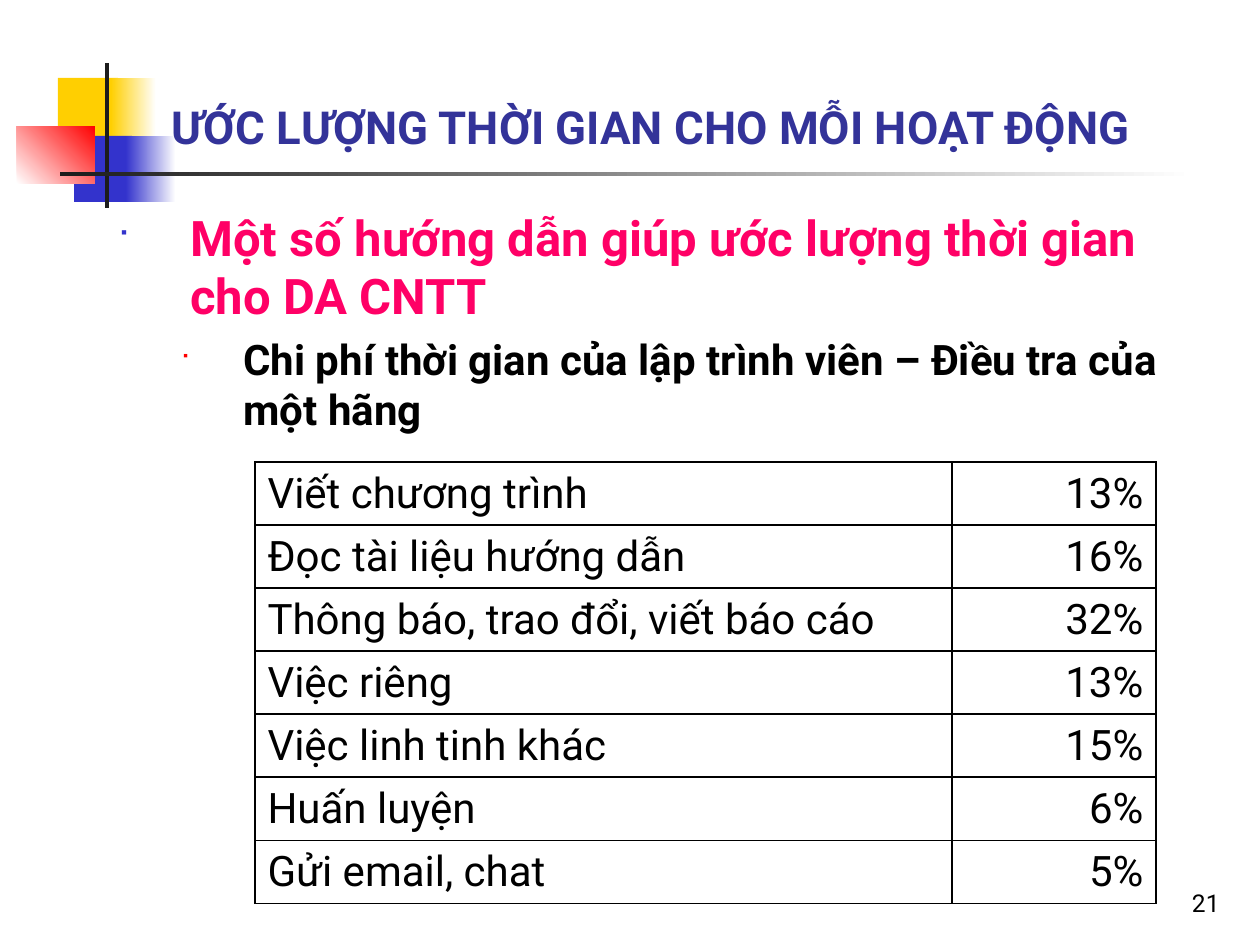
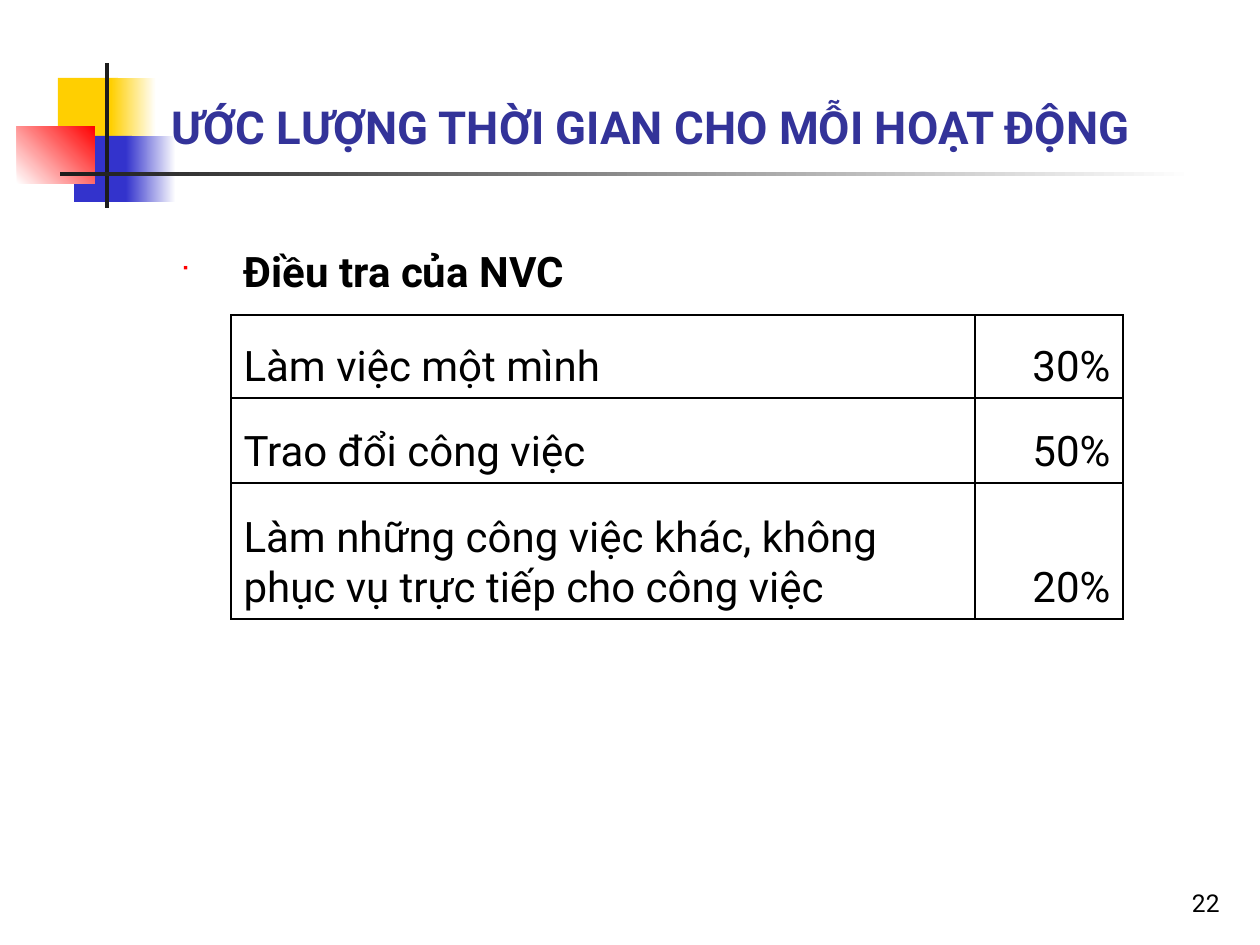
import lxml.etree
import pptx
import pptx.dml.color
import pptx.enum.shapes
import pptx.enum.text
import pptx.oxml.ns
import pptx.util

SCALE = 914400 / 126
FONT = "Roboto"
BLACK, WHITE = "000000", "FFFFFF"
NAVY, PINK, RED = "333399", "FF0066", "FF0000"
GOLD, BLUE, DARK = "FFCF01", "3333CC", "1C1C1C"
TITLE = "ƯỚC LƯỢNG THỜI GIAN CHO MỖI HOẠT ĐỘNG"
RIGHT = pptx.enum.text.PP_ALIGN.RIGHT
LEFT = pptx.enum.text.PP_ALIGN.LEFT
BOTTOM = pptx.enum.text.MSO_ANCHOR.BOTTOM

# Box, then one colour for a plain fill or two for a fade, then angle
MOTIF = [
    ((58, 78, 60, 66), [GOLD], 0),
    ((111, 78, 45, 66), [GOLD, WHITE], 0),
    ((74, 136, 58, 66), [BLUE], 0),
    ((126, 136, 50, 66), [BLUE, WHITE], 0),
    ((17, 126, 78, 58), [WHITE, RED], 45),
    ((105, 63, 4, 145), [DARK], 0),
    ((60, 172, 1134, 4), [DARK, WHITE], 0),
]

# Text colour, size, left margin, hang, bullet colour, bullet percent
LEVELS = [
    (PINK, 28, 73, 73, BLUE, 60),
    (BLACK, 24, 126, 63, RED, 55),
]

CODER_TIME = [
    ("Viết chương trình", "13%"),
    ("Đọc tài liệu hướng dẫn", "16%"),
    ("Thông báo, trao đổi, viết báo cáo", "32%"),
    ("Việc riêng", "13%"),
    ("Việc linh tinh khác", "15%"),
    ("Huấn luyện", "6%"),
    ("Gửi email, chat", "5%"),
]
WORK_TIME = [
    ("Làm việc một mình", "30%"),
    ("Trao đổi công việc", "50%"),
    ("Làm những công việc khác, không phục vụ trực tiếp cho công việc", "20%"),
]


def px(size):
    return pptx.util.Emu(round(size * SCALE))


def color(code):
    return pptx.dml.color.RGBColor.from_string(code)


def node(parent, tag, **attrs):
    name = pptx.oxml.ns.qn("a:" + tag)
    return lxml.etree.SubElement(parent, name, attrs)


def add_run(para, text, size, shade, bold=False):
    run = para.add_run()
    run.text = text
    font = run.font
    font.name, font.size, font.bold = FONT, pptx.util.Pt(size), bold
    font.color.rgb = color(shade)


def add_frame(slide, box):
    frame = slide.shapes.add_textbox(*map(px, box)).text_frame
    frame.word_wrap = True
    return frame


def add_line(slide, box, text, size, shade, align, bold=False):
    """Add one line of text that sits on the floor of its box."""
    frame = add_frame(slide, box)
    frame.vertical_anchor = BOTTOM
    para = frame.paragraphs[0]
    para.alignment = align
    add_run(para, text, size, shade, bold)


def add_motif(slide):
    kind = pptx.enum.shapes.MSO_SHAPE.RECTANGLE
    for box, shades, angle in MOTIF:
        shape = slide.shapes.add_shape(kind, *map(px, box))
        shape.shadow.inherit = False
        shape.line.fill.background()
        if len(shades) == 1:
            shape.fill.solid()
            shape.fill.fore_color.rgb = color(shades[0])
            continue
        shape.fill.gradient()
        shape.fill.gradient_angle = angle
        for stop, shade, place in zip(shape.fill.gradient_stops, shades, (0, 1)):
            stop.color.rgb = color(shade)
            stop.position = place


def add_bullet(para, margin, hang, shade, percent):
    props = para._p.get_or_add_pPr()
    props.set("marL", str(px(margin)))
    props.set("indent", str(-px(hang)))
    node(node(props, "buClr"), "srgbClr", val=shade)
    node(props, "buSzPct", val=str(percent * 1000))
    node(props, "buFont", typeface="Wingdings")
    node(props, "buChar", char="■")


def add_body(slide, box, items):
    frame = add_frame(slide, box)
    frame.margin_top = frame.margin_bottom = 0
    for index, (level, text) in enumerate(items):
        shade, size, margin, hang, mark, percent = LEVELS[level]
        para = frame.add_paragraph() if index else frame.paragraphs[0]
        para.level = level
        if index:
            para.space_before = pptx.util.Pt(5)
        add_bullet(para, margin, hang, mark, percent)
        add_run(para, text, size, shade, True)


def add_edges(cell):
    props = cell._tc.get_or_add_tcPr()
    for side in ("lnL", "lnR", "lnT", "lnB"):
        edge = node(props, side, w=str(pptx.util.Pt(1)))
        node(node(edge, "solidFill"), "srgbClr", val=BLACK)


def add_grid(slide, left, top, widths, heights, data):
    box = (left, top, sum(widths), sum(heights))
    grid = slide.shapes.add_table(len(data), len(widths), *map(px, box)).table
    grid.first_row = grid.horz_banding = False
    for column, width in zip(grid.columns, widths):
        column.width = px(width)
    for row, height, texts in zip(grid.rows, heights, data):
        row.height = px(height)
        for cell, text, align in zip(row.cells, texts, (LEFT, RIGHT)):
            add_edges(cell)
            cell.fill.background()
            cell.vertical_anchor = BOTTOM
            para = cell.text_frame.paragraphs[0]
            para.alignment = align
            add_run(para, text, 24, BLACK)


def add_page(deck, number):
    """Add a slide with the motif, page number and title all slides share."""
    slide = deck.slides.add_slide(deck.slide_layouts[6])
    add_motif(slide)
    add_line(slide, (970, 861, 262, 63), str(number), 14, BLACK, RIGHT)
    add_line(slide, (159, 21, 1074, 139), TITLE, 26, NAVY, LEFT, True)
    return slide


def main():
    deck = pptx.Presentation()
    deck.slide_width, deck.slide_height = px(1260), px(945)

    slide = add_page(deck, 21)
    add_body(slide, (105, 207, 1113, 230), [
        (0, "Một số hướng dẫn giúp ước lượng thời gian cho DA CNTT"),
        (1, "Chi phí thời gian của lập trình viên – Điều tra của một hãng"),
    ])
    add_grid(slide, 255, 462, (697, 204), [62] * len(CODER_TIME), CODER_TIME)

    slide = add_page(deck, 22)
    add_body(slide, (105, 246, 1113, 60), [(1, "Điều tra của NVC")])
    add_grid(slide, 231, 315, (744, 148), (83, 85, 136), WORK_TIME)

    deck.save("out.pptx")


if __name__ == "__main__":
    main()
